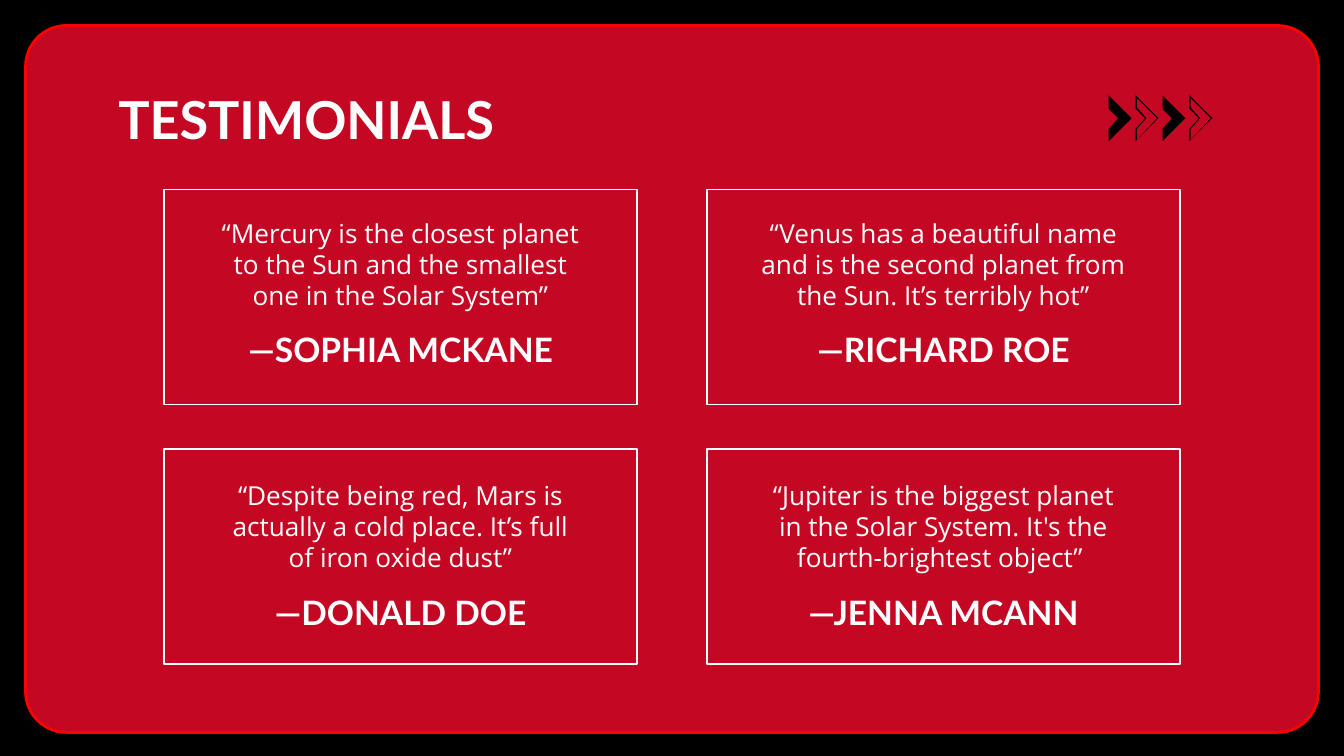
import pptx
import pptx.util
import pptx.dml.color
import pptx.enum.shapes
import pptx.enum.text
from pptx.util import Inches, Pt

COLORS = {"black": "000000", "panel": "C40722", "edge": "FF0000", "white": "FFFFFF"}
RGB = {name: pptx.dml.color.RGBColor.from_string(c) for name, c in COLORS.items()}
SHAPE = pptx.enum.shapes.MSO_SHAPE
ALIGN = pptx.enum.text.PP_ALIGN

TESTIMONIALS = [
    ("“Mercury is the closest planet to the Sun and the smallest one in the Solar System”",
     "—SOPHIA MCKANE"),
    ("“Venus has a beautiful name and is the second planet from the Sun. It’s terribly hot”",
     "—RICHARD ROE"),
    ("“Despite being red, Mars is actually a cold place. It’s full of iron oxide dust”",
     "—DONALD DOE"),
    ("“Jupiter is the biggest planet in the Solar System. It's the fourth-brightest object” ",
     "—JENNA MCANN"),
]


def write(sp, text, font, size, bold, align):
    """Fill a text shape with one white, vertically centred paragraph."""
    tf = sp.text_frame
    tf.word_wrap = True
    tf.auto_size = pptx.enum.text.MSO_AUTO_SIZE.NONE
    tf.vertical_anchor = pptx.enum.text.MSO_ANCHOR.MIDDLE
    tf.margin_left = tf.margin_right = tf.margin_top = tf.margin_bottom = Inches(0.1)
    p = tf.paragraphs[0]
    p.alignment = align
    p.line_spacing = 1.0
    r = p.add_run()
    r.text = text
    r.font.name = font
    r.font.size = Pt(size)
    r.font.bold = bold
    r.font.color.rgb = RGB["white"]


prs = pptx.Presentation()
prs.slide_width = Inches(10)
prs.slide_height = Inches(10) * 9 // 16
s = prs.slides.add_slide(prs.slide_layouts[5])
s.background.fill.solid()
s.background.fill.fore_color.rgb = RGB["black"]

# Panel, placed behind the title
panel = s.shapes.add_shape(SHAPE.ROUNDED_RECTANGLE,
                           Inches(0.19), Inches(0.19), Inches(9.62), Inches(5.26))
panel.adjustments[0] = 0.058
panel.shadow.inherit = False
panel.fill.solid()
panel.fill.fore_color.rgb = RGB["panel"]
panel.line.color.rgb = RGB["edge"]
panel.line.width = Pt(1.5)

title = s.shapes.title
title.element.addprevious(panel.element)
title.left, title.top = Inches(0.78), Inches(0.57)
title.width, title.height = Inches(8.44), Inches(0.63)
write(title, "TESTIMONIALS", "Lato", 28, True, ALIGN.LEFT)

# Two by two grid of testimonials
for i, (quote, author) in enumerate(TESTIMONIALS):
    row, col = divmod(i, 2)
    left = 1.22 + 4.04 * col
    card = s.shapes.add_shape(SHAPE.RECTANGLE, Inches(left), Inches(1.41 + 1.93 * row),
                              Inches(3.52), Inches(1.6))
    card.shadow.inherit = False
    card.fill.background()
    card.line.color.rgb = RGB["white"]
    card.line.width = Pt(0.75)

    text_left = Inches(left + 0.3)
    sp = s.shapes.add_textbox(text_left, Inches(2.44 + 1.96 * row), Inches(2.92), Inches(0.31))
    write(sp, author, "Lato", 18, True, ALIGN.CENTER)
    sp = s.shapes.add_textbox(text_left, Inches(1.58 + 1.95 * row), Inches(2.92), Inches(0.77))
    write(sp, quote, "Open Sans", 14, False, ALIGN.CENTER)

# Chevrons, alternately solid and hollow
OUTER = [(0, 0.71), (0.17, 0.88), (0, 1.05), (0, 0.96), (0.07, 0.88), (0, 0.81)]
INNER = [(0.01, 0.73), (0.01, 0.8), (0.08, 0.88), (0.01, 0.96), (0.01, 1.04), (0.16, 0.88)]
for i in range(4):
    contours = [OUTER, INNER] if i % 2 else [OUTER]
    points = [[(Inches(8.25 + 0.2 * i + x), Inches(y)) for x, y in c] for c in contours]
    fb = s.shapes.build_freeform(*points[0][0])
    fb.add_line_segments(points[0][1:], close=True)
    for contour in points[1:]:
        fb.move_to(*contour[0])
        fb.add_line_segments(contour[1:], close=True)
    chevron = fb.convert_to_shape()
    chevron.shadow.inherit = False
    chevron.fill.solid()
    chevron.fill.fore_color.rgb = RGB["black"]
    chevron.line.fill.background()

prs.save("out.pptx")
